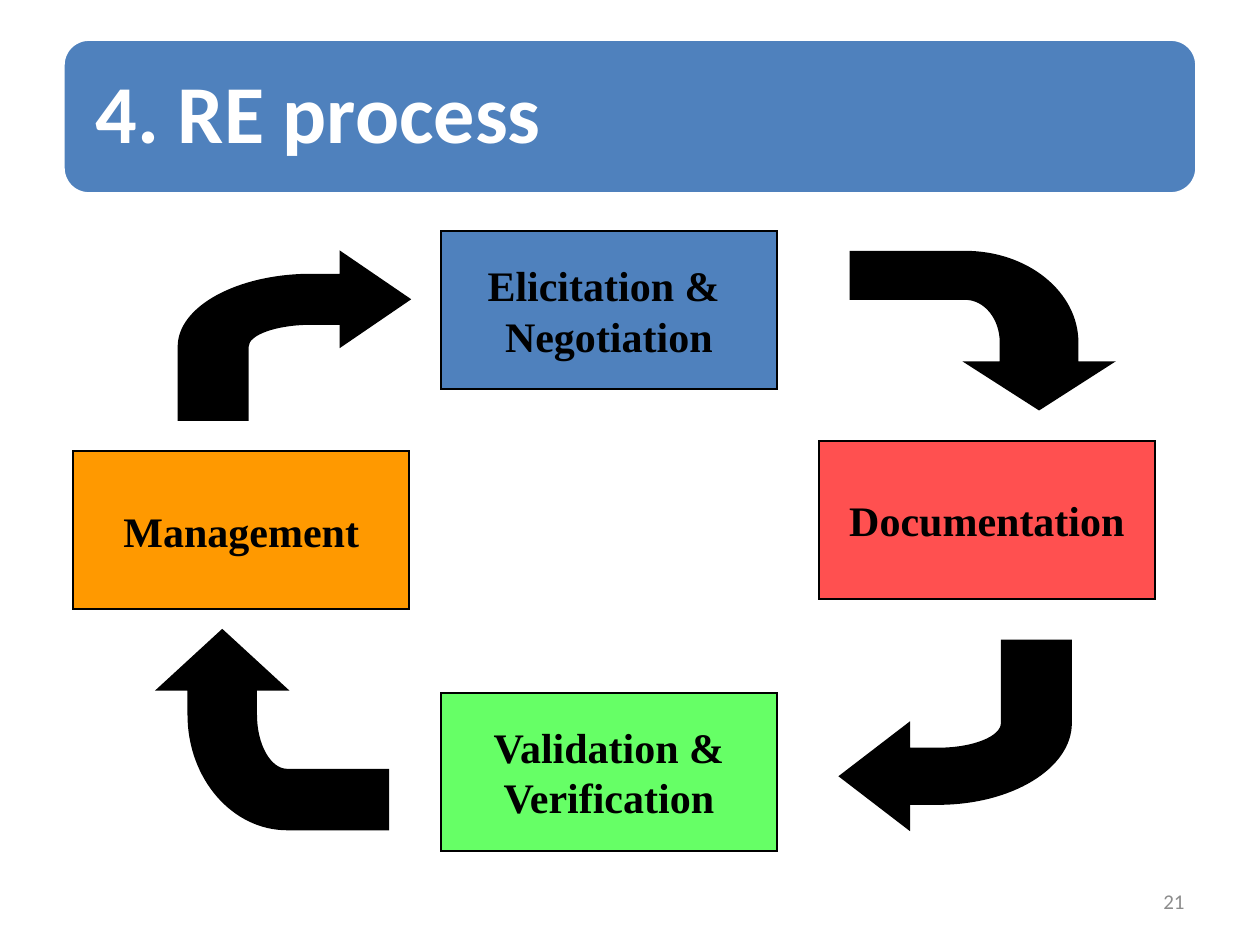
from lxml import etree
from pptx import Presentation
from pptx.dml.color import RGBColor
from pptx.enum.shapes import MSO_SHAPE
from pptx.enum.text import MSO_ANCHOR, MSO_AUTO_SIZE, PP_ALIGN
from pptx.oxml.ns import qn
from pptx.util import Cm, Pt

RECTANGLE, ROUNDED = MSO_SHAPE.RECTANGLE, MSO_SHAPE.ROUNDED_RECTANGLE
MIDDLE, NO_AUTOFIT = MSO_ANCHOR.MIDDLE, MSO_AUTO_SIZE.NONE
LEFT, CENTER, RIGHT = PP_ALIGN.LEFT, PP_ALIGN.CENTER, PP_ALIGN.RIGHT

BLUE = RGBColor(0x4F, 0x81, 0xBD)
ORANGE = RGBColor(0xFF, 0x99, 0x00)
RED = RGBColor(0xFF, 0x50, 0x50)
GREEN = RGBColor(0x66, 0xFF, 0x66)
GRAY = RGBColor(0x8C, 0x8C, 0x8C)
BLACK = RGBColor(0, 0, 0)
WHITE = RGBColor(0xFF, 0xFF, 0xFF)


def paint(shape, fill, line, width):
    shape.shadow.inherit = False
    shape.fill.solid()
    shape.fill.fore_color.rgb = fill
    shape.line.color.rgb = line
    shape.line.width = Pt(width)
    # Sharp corners
    outline_element = shape._element.spPr.find(qn("a:ln"))
    etree.SubElement(outline_element, qn("a:miter"), lim="800000")


def write(shape, text, font, size, color, bold, align):
    frame = shape.text_frame
    frame.text = text
    frame.vertical_anchor = MIDDLE
    for para in frame.paragraphs:
        para.alignment = align
        for span in para.runs:
            span.font.name = font
            span.font.size = Pt(size)
            span.font.bold = bold
            span.font.color.rgb = color


deck = Presentation()
deck.slide_width, deck.slide_height = Cm(25.4), Cm(19.05)
page = deck.slides.add_slide(deck.slide_layouts[5])

# Title on a rounded banner
banner = page.shapes.add_shape(ROUNDED, Cm(1.27), Cm(0.79), Cm(22.86), Cm(3.12))
paint(banner, BLUE, WHITE, 2)
title = page.shapes.title
banner._element.addnext(title._element)
title.left, title.top, title.width, title.height = Cm(1.42), Cm(0.94), Cm(22.56), Cm(2.82)
write(title, "4. RE process", "Calibri", 47, WHITE, True, LEFT)
frame = title.text_frame
frame.auto_size = NO_AUTOFIT
frame.margin_left = frame.margin_right = frame.margin_top = frame.margin_bottom = Cm(0.51)
frame.paragraphs[0].line_spacing = 0.9

# Four process steps
steps = [
    ("Elicitation & \nNegotiation", 8.89, 4.66, BLUE),
    ("Management", 1.48, 9.1, ORANGE),
    ("Documentation", 16.51, 8.89, RED),
    ("Validation &\nVerification", 8.89, 13.97, GREEN),
]
for text, left, top, color in steps:
    box = page.shapes.add_shape(RECTANGLE, Cm(left), Cm(top), Cm(6.77), Cm(3.18))
    paint(box, color, BLACK, 1)
    write(box, text, "Times New Roman", 24, BLACK, True, CENTER)
    box.text_frame.word_wrap = False

# Bent arrow outline on a square grid
GRID = 21600
start = (GRID, 6079)
corners = [
    (15126, 0), (15126, 2912), (12427, 2912), (0, 12158), (0, GRID),
    (6474, GRID), (6474, 12158), (12427, 9246), (15126, 9246), (15126, 12158),
]
# Control points of the segments that bend, by corner reached
bends = {3: [(5564, 2912), (0, 7052)], 7: [(6474, 10550), (9139, 9246)]}

# The same arrow turned a quarter further at each corner
arrows = [
    (3.6, 5.08, 4.66, 3.39, 0),
    (16.93, 12.91, 4.66, 3.81, 180),
    (3.49, 12.38, 4.02, 4.66, 270),
    (18.2, 4.02, 3.18, 5.29, 90),
]
for left, top, width, height, turn in arrows:
    scale = (Cm(width) / GRID, Cm(height) / GRID)
    builder = page.shapes.build_freeform(*start, scale=scale)
    builder.add_line_segments(corners, close=True)
    arrow = builder.convert_to_shape(Cm(left), Cm(top))
    arrow.rotation = turn
    paint(arrow, BLACK, BLACK, 1)
    segments = list(arrow._element.iter(qn("a:lnTo")))
    for index, controls in bends.items():
        curve = etree.Element(qn("a:cubicBezTo"))
        for x, y in [*controls, corners[index]]:
            etree.SubElement(curve, qn("a:pt"), x=str(x), y=str(y))
        segments[index].getparent().replace(segments[index], curve)

# Page number
number = page.shapes.add_textbox(Cm(18.2), Cm(17.66), Cm(5.93), Cm(1.01))
number.text_frame.word_wrap = True
write(number, "21", "Calibri", 12, GRAY, False, RIGHT)

deck.save("out.pptx")
